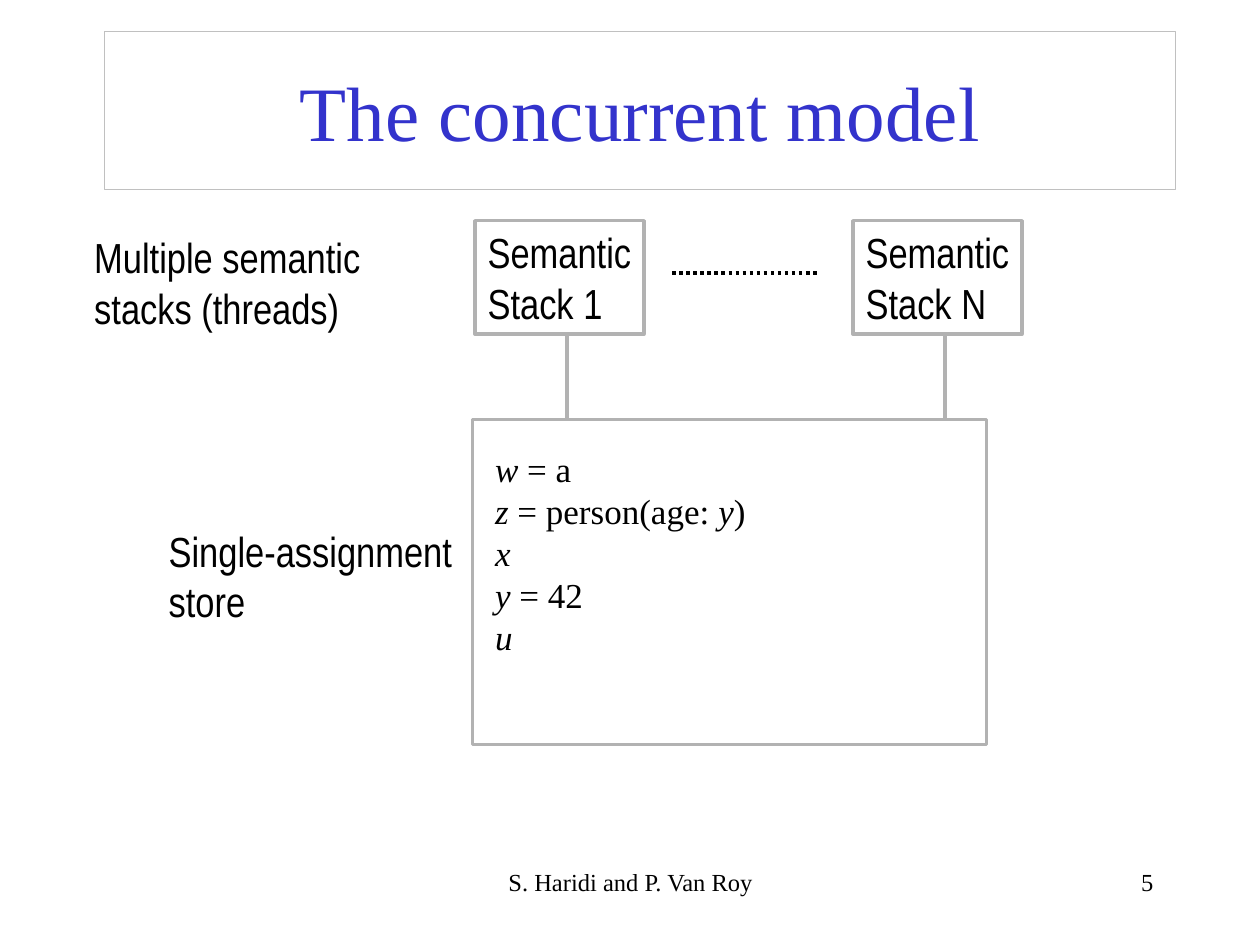
import lxml.etree
import pptx
import pptx.dml.color
import pptx.enum.dml
import pptx.enum.shapes
import pptx.enum.text
import pptx.oxml.ns
import pptx.util

Cm = pptx.util.Cm
ALIGN = pptx.enum.text.PP_ALIGN
ANCHOR = pptx.enum.text.MSO_ANCHOR

THEME = {
    "serif": "Times New Roman", "sans": "Arial Narrow",
    "title": "3333CC", "text": "000000", "frame": "C0C0C0", "line": "B2B2B2",
    "title_size": 44, "label_size": 24, "code_size": 20, "footer_size": 14,
    "thin": 0.75, "thick": 2,
}

TITLE = "The concurrent model"
TITLE_BOX = (2.11, 0.64, 21.59, 3.18)
STORE_BOX = (9.53, 8.46, 10.36, 6.55)
BINDINGS_BOX = (9.73, 8.89, 5.77, 4.5)
BINDINGS = [
    [("w ", True), ("= a", False)],
    [("z", True), (" = person(age: ", False), ("y", True), (")", False)],
    [("x", True)],
    [("y ", True), ("= 42", False)],
    [("u", True)],
]
LABELS = [
    (["Multiple semantic", "stacks (threads)"], (1.65, 4.55, 5.87, 2.29)),
    (["Single-assignment", "store"], (3.15, 10.46, 6.22, 2.29)),
]
STACKS = [["Semantic", "Stack 1"], ["Semantic", "Stack N"]]
STACK_LEFT, STACK_TOP, STACK_PITCH = 9.58, 4.45, 7.62
STACK_WIDTH, STACK_HEIGHT = 3.4, 2.29
LINK_OFFSET = 1.85
DOTS = (13.55, 5.5, 16.51, 5.5)
FOOTERS = [
    ("S. Haridi and P. Van Roy", (8.69, 17.35, 8.05, 1.27), ALIGN.CENTER),
    ("5", (18.21, 17.35, 5.29, 1.27), ALIGN.RIGHT),
]


def rgb(name):
    return pptx.dml.color.RGBColor.from_string(THEME[name])


def add_box(s, box, line, width):
    sp = s.shapes.add_shape(
        pptx.enum.shapes.MSO_SHAPE.RECTANGLE, *map(Cm, box))
    sp.shadow.inherit = False
    sp.fill.background()
    sp.line.color.rgb = rgb(line)
    sp.line.width = pptx.util.Pt(THEME[width])
    return sp


def add_line(s, ends, color, dash=None):
    sp = s.shapes.add_connector(
        pptx.enum.shapes.MSO_CONNECTOR.STRAIGHT, *map(Cm, ends))
    sp.line.color.rgb = rgb(color)
    sp.line.width = pptx.util.Pt(THEME["thick"])
    if dash:
        sp.line.dash_style = dash
    lxml.etree.SubElement(
        sp._element.spPr, pptx.oxml.ns.qn("a:effectLst"))


def write(sp, lines, font="sans", size="label_size", color="text",
          align=ALIGN.LEFT, anchor=ANCHOR.TOP, wrap=True, spacing=None):
    tf = sp.text_frame
    tf.word_wrap = wrap
    tf.vertical_anchor = anchor
    for i, line in enumerate(lines):
        p = tf.add_paragraph() if i else tf.paragraphs[0]
        p.alignment = align
        if spacing:
            p.line_spacing = pptx.util.Pt(spacing)
        for text, italic in [(line, False)] if isinstance(line, str) else line:
            r = p.add_run()
            r.text = text
            r.font.name = THEME[font]
            r.font.size = pptx.util.Pt(THEME[size])
            r.font.color.rgb = rgb(color)
            r.font.italic = italic


def add_text(s, box, lines, **style):
    write(s.shapes.add_textbox(*map(Cm, box)), lines, **style)


def main():
    """Build the slide on the concurrent model and save it."""
    prs = pptx.Presentation()
    prs.slide_width, prs.slide_height = Cm(25.4), Cm(19.05)
    s = prs.slides.add_slide(prs.slide_layouts[6])

    write(add_box(s, TITLE_BOX, "frame", "thin"), [TITLE], font="serif",
          size="title_size", color="title", align=ALIGN.CENTER,
          anchor=ANCHOR.MIDDLE)

    add_box(s, STORE_BOX, "line", "thick")
    add_text(s, BINDINGS_BOX, BINDINGS, font="serif", size="code_size",
             spacing=24)

    for i, lines in enumerate(STACKS):
        left = STACK_LEFT + i * STACK_PITCH
        box = (left, STACK_TOP, STACK_WIDTH, STACK_HEIGHT)
        write(add_box(s, box, "line", "thick"), lines, wrap=False)
        x = left + LINK_OFFSET
        add_line(s, (x, STACK_TOP + STACK_HEIGHT, x, STORE_BOX[1]), "line")
    add_line(s, DOTS, "text", pptx.enum.dml.MSO_LINE.ROUND_DOT)

    for lines, box in LABELS:
        add_text(s, box, lines, wrap=False)
    for text, box, align in FOOTERS:
        add_text(s, box, [text], font="serif", size="footer_size", align=align)

    prs.save("out.pptx")


if __name__ == "__main__":
    main()
